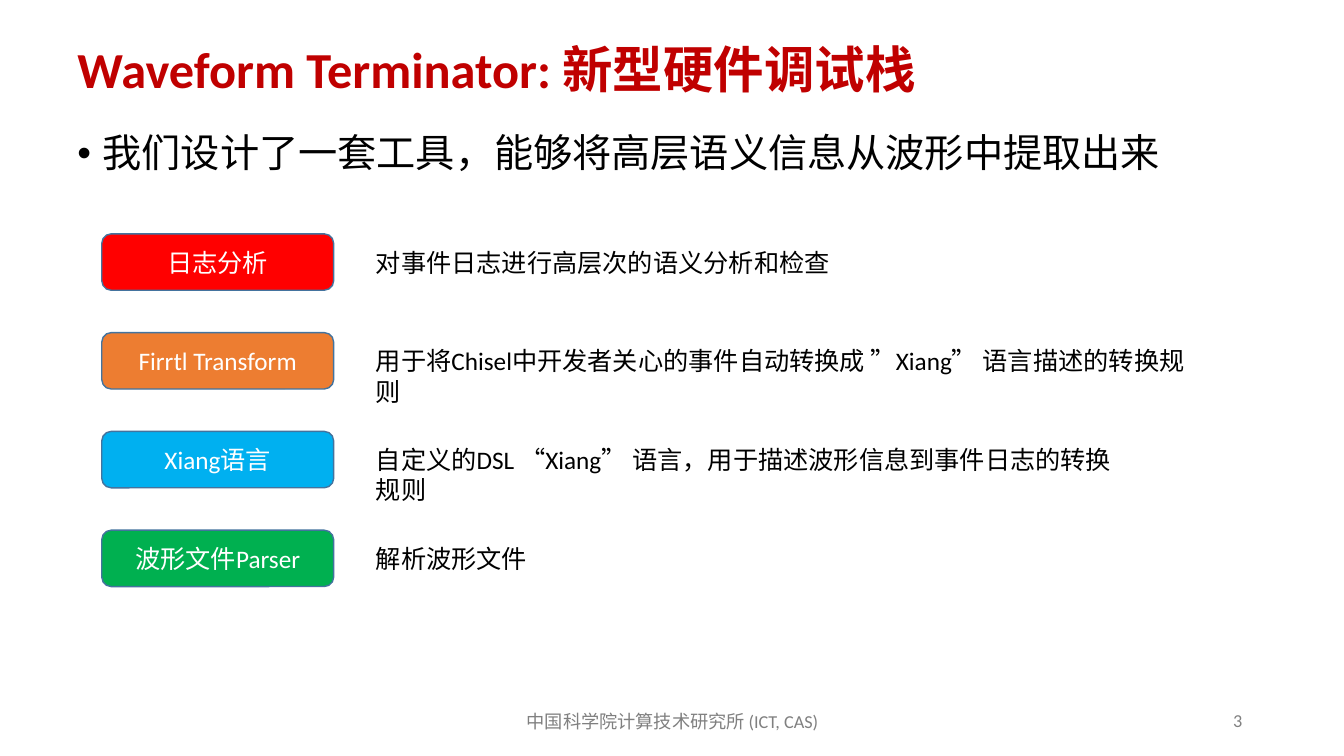
from pptx import Presentation, util as u
from pptx.dml.color import RGBColor
from pptx.enum import shapes, text
from lxml import etree

PX = 9144
NS = "{http://schemas.openxmlformats.org/drawingml/2006/main}"


def color(value):
    return RGBColor.from_string(value)


def write(s, content, size=18, fill="000000", bold=False, align="LEFT", anchor="TOP", spacing=1.0):
    tf = s.text_frame
    tf.word_wrap = True
    tf.vertical_anchor = text.MSO_ANCHOR[anchor]
    p = tf.paragraphs[0]
    p.alignment = text.PP_ALIGN[align]
    p.line_spacing = spacing
    r = p.add_run()
    r.text = content
    r.font.name = "Calibri"
    r.font.size = u.Pt(size)
    r.font.bold = bold
    r.font.color.rgb = color(fill)
    return p


prs = Presentation()
prs.slide_width, prs.slide_height = 1333 * PX, 750 * PX
slide = prs.slides.add_slide(prs.slide_layouts[6])
sp = slide.shapes

footer = sp.add_textbox(442 * PX, 696 * PX, 450 * PX, 40 * PX)
write(footer, "中国科学院计算技术研究所 (ICT, CAS)", size=13, fill="808080", align="CENTER", anchor="MIDDLE")
number = sp.add_textbox(942 * PX, 695 * PX, 300 * PX, 40 * PX)
write(number, "3", size=13, fill="808080", align="RIGHT", anchor="MIDDLE")

title = sp.add_textbox(67 * PX, 35 * PX, 1213 * PX, 73 * PX)
write(title, "Waveform Terminator: 新型硬件调试栈", size=36, fill="C00000", bold=True, anchor="MIDDLE", spacing=0.9)

body = sp.add_textbox(67 * PX, 128 * PX, 1213 * PX, 547 * PX)
p = write(body, "我们设计了一套工具，能够将高层语义信息从波形中提取出来", size=28, spacing=0.9)
p.space_before = u.Pt(10)
pPr = p._p.get_or_add_pPr()
pPr.set("marL", str(25 * PX))
pPr.set("indent", str(-25 * PX))
etree.SubElement(pPr, NS + "buFont", typeface="Arial")
etree.SubElement(pPr, NS + "buChar", char="•")

layers = [
    ("日志分析", "FF0000", 475, "对事件日志进行高层次的语义分析和检查"),
    ("Firrtl Transform", "ED7D31", 830, "用于将Chisel中开发者关心的事件自动转换成 ”Xiang” 语言描述的转换规则"),
    ("Xiang语言", "00B0F0", 773, "自定义的DSL “Xiang” 语言，用于描述波形信息到事件日志的转换规则"),
    ("波形文件Parser", "00B050", 177, "解析波形文件"),
]
for i, (name, fill, width, description) in enumerate(layers):
    top = 232 + 98 * i
    s = sp.add_shape(shapes.MSO_SHAPE.ROUNDED_RECTANGLE, 101 * PX, top * PX, 230 * PX, 56 * PX)
    s.shadow.inherit = False
    s.fill.solid()
    s.fill.fore_color.rgb = color(fill)
    s.line.color.rgb = color("43739E")
    s.line.width = u.Pt(1)
    write(s, name, fill="FFFFFF", align="CENTER", anchor="MIDDLE")
    note = sp.add_textbox(363 * PX, (top + 8) * PX, width * PX, 40 * PX)
    write(note, description)

prs.save("out.pptx")
